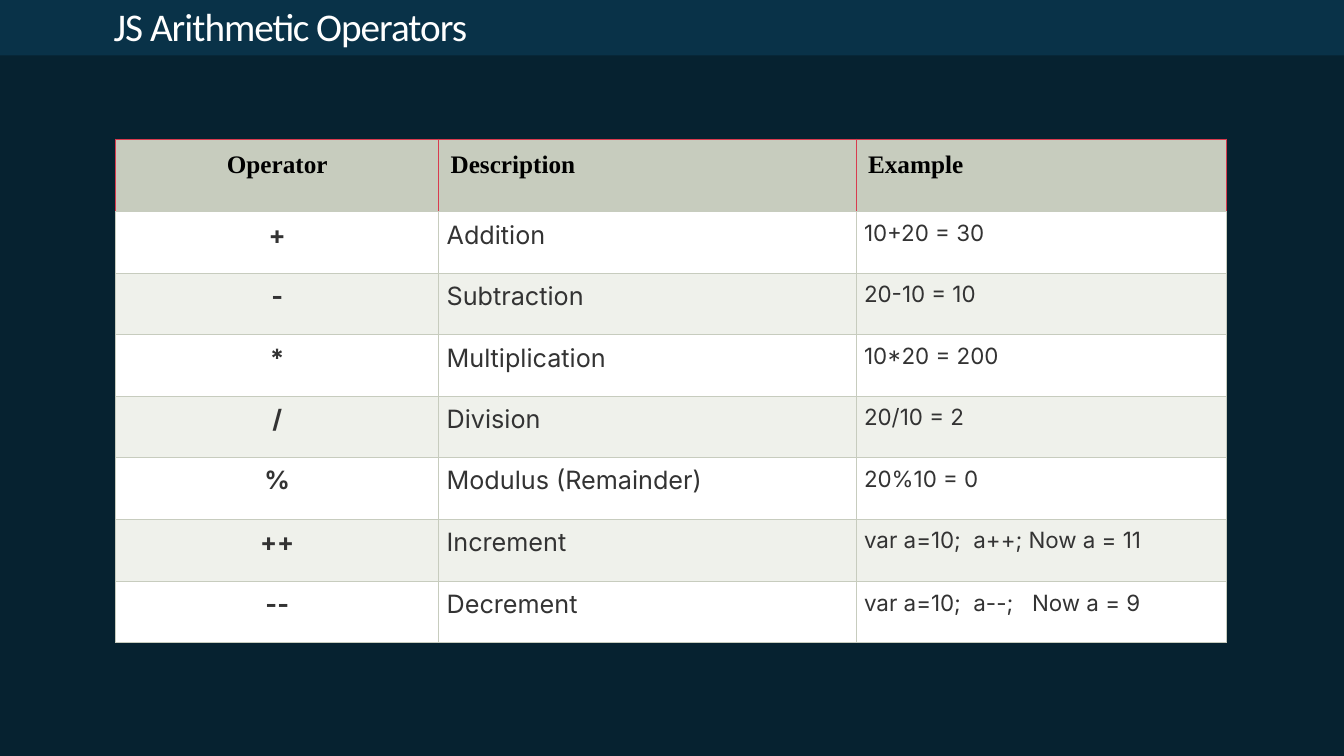
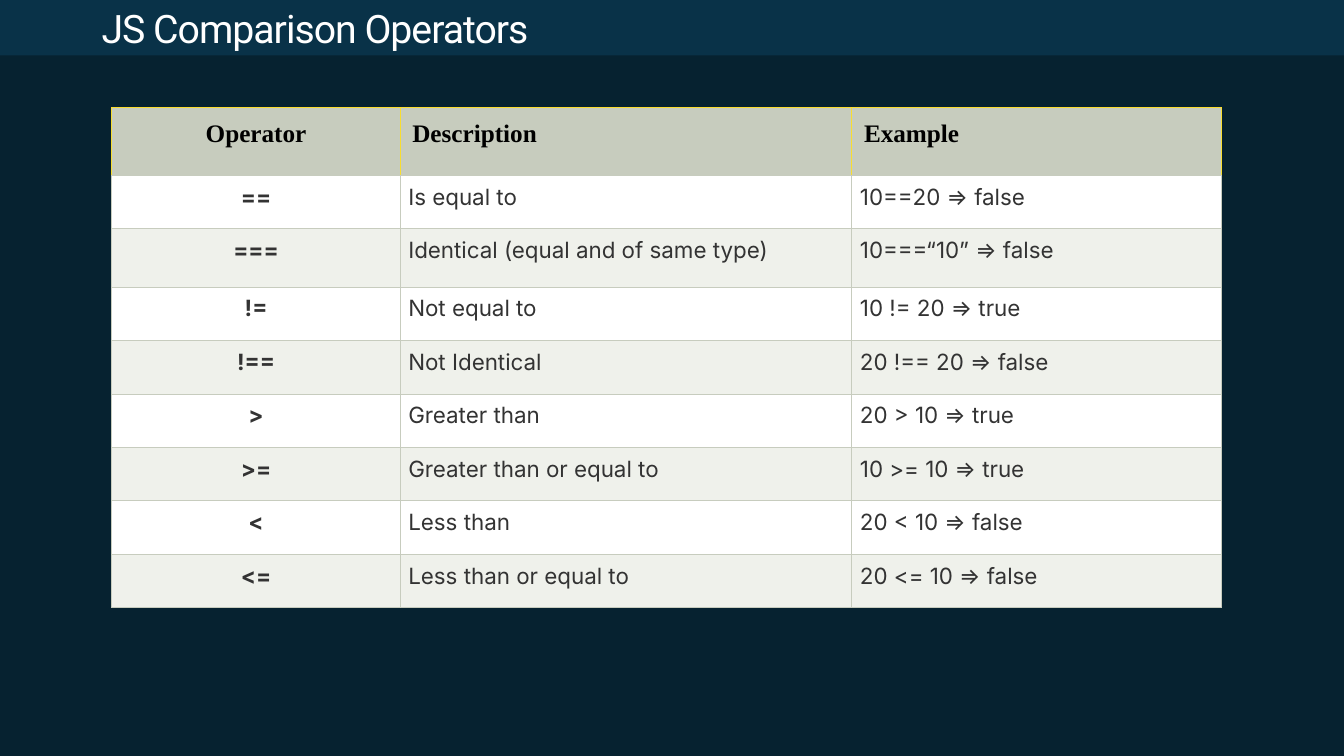
from lxml import etree
from pptx import Presentation
from pptx.dml.color import RGBColor
from pptx.enum.shapes import MSO_SHAPE
from pptx.enum.text import MSO_ANCHOR, PP_ALIGN
from pptx.oxml.ns import qn
from pptx.util import Inches, Pt

RECT = MSO_SHAPE.RECTANGLE
TOP, MIDDLE = MSO_ANCHOR.TOP, MSO_ANCHOR.MIDDLE
LEFT, CENTER, JUSTIFY = PP_ALIGN.LEFT, PP_ALIGN.CENTER, PP_ALIGN.JUSTIFY

# Shared colours
NAVY = RGBColor(0x06, 0x22, 0x30)
TEAL = RGBColor(0x09, 0x32, 0x48)
WHITE = RGBColor(0xFF, 0xFF, 0xFF)
BLACK = RGBColor(0, 0, 0)
GRAY = RGBColor(0x33, 0x33, 0x33)
SAGE = RGBColor(0xC7, 0xCC, 0xBE)
PALE = RGBColor(0xEF, 0xF1, 0xEB)
RED = RGBColor(0xD8, 0x3B, 0x4E)
YELLOW = RGBColor(0xF8, 0xDD, 0x30)

WIDTH, HEIGHT, BAND = 13.33, 7.5, 0.55
SIDES = ("L", "R", "T", "B")

# Shared text formats
TITLE = {"size": Pt(28)}
HEAD = {"name": "Times New Roman", "size": Pt(18), "bold": True}
BODY = {"name": "Inter"}

HEADS = ("Operator", "Description", "Example")
MATH = (
    ("+", "Addition", "10+20 = 30"),
    ("-", "Subtraction", "20-10 = 10"),
    ("*", "Multiplication", "10*20 = 200"),
    ("/", "Division", "20/10 = 2"),
    ("%", "Modulus (Remainder)", "20%10 = 0"),
    ("++", "Increment", "var a=10;  a++; Now a = 11"),
    ("--", "Decrement", "var a=10;  a--;   Now a = 9"),
)
COMPARE = (
    ("==", "Is equal to", "10==20 => false"),
    ("===", "Identical (equal and of same type)", "10===“10” => false"),
    ("!=", "Not equal to", "10 != 20 => true"),
    ("!==", "Not Identical", "20 !== 20 => false"),
    (">", "Greater than", "20 > 10 => true"),
    (">=", "Greater than or equal to", "10 >= 10 => true"),
    ("<", "Less than", "20 < 10 => false"),
    ("<=", "Less than or equal to", "20 <= 10 => false"),
)


def add_run(par, text, color, form):
    run = par.add_run()
    run.text = text
    run.font.color.rgb = color
    for key, value in form.items():
        setattr(run.font, key, value)
    return run


def add_base(deck):
    """Blank slide with the dark ground and the top band."""
    slide = deck.slides.add_slide(deck.slide_layouts[6])
    fill = slide.background.fill
    fill.solid()
    fill.fore_color.rgb = NAVY
    band = slide.shapes.add_shape(RECT, 0, 0, Inches(WIDTH), Inches(BAND))
    band.shadow.inherit = False
    band.fill.solid()
    band.fill.fore_color.rgb = TEAL
    band.line.fill.background()
    return slide


def add_title(slide, text, font, left, top, width):
    box = slide.shapes.add_textbox(
        Inches(left), Inches(top), Inches(width), Inches(0.53))
    frame = box.text_frame
    frame.word_wrap = True
    frame.vertical_anchor = MIDDLE
    par = frame.paragraphs[0]
    par.line_spacing = 0.9
    run = add_run(par, text, WHITE, {**TITLE, "name": font})
    run.font._element.set("spc", "-70")


def set_edges(cell, colors):
    props = cell._tc.get_or_add_tcPr()
    for side, color in zip(SIDES, colors):
        line = etree.SubElement(props, qn(f"a:ln{side}"), w=str(Pt(0.75)))
        fill = etree.SubElement(line, qn("a:solidFill"))
        etree.SubElement(fill, qn("a:srgbClr"), val=str(color))


def set_cell(cell, text, inset, align, ground, edges, color, form):
    for side in ("left", "right", "top", "bottom"):
        setattr(cell, f"margin_{side}", Inches(inset))
    cell.vertical_anchor = TOP
    set_edges(cell, edges)
    cell.fill.solid()
    cell.fill.fore_color.rgb = ground
    par = cell.text_frame.paragraphs[0]
    par.alignment = align
    add_run(par, text, color, form)


def add_grid(slide, rows, left, top, widths, heights, sizes, accent):
    table = slide.shapes.add_table(
        len(rows) + 1, len(HEADS), Inches(left), Inches(top),
        Inches(sum(widths)), Inches(sum(heights))).table
    table.horz_banding = False
    for col, width in zip(table.columns, widths):
        col.width = Inches(width)
    for row, height in zip(table.rows, heights):
        row.height = Inches(height)

    # Header row
    for c, text in enumerate(HEADS):
        set_cell(table.cell(0, c), text, 0.12, LEFT if c else CENTER,
                 SAGE, (accent, accent, accent, SAGE), BLACK, HEAD)

    # Striped body rows
    for r, row in enumerate(rows, 1):
        ground = WHITE if r % 2 else PALE
        for c, (text, size) in enumerate(zip(row, sizes)):
            form = {**BODY, "size": Pt(size), "bold": c == 0}
            set_cell(table.cell(r, c), text, 0.08, JUSTIFY if c else CENTER,
                     ground, (SAGE,) * 4, GRAY, form)


def main():
    deck = Presentation()
    deck.slide_width, deck.slide_height = Inches(WIDTH), Inches(HEIGHT)

    # Arithmetic operators
    slide = add_base(deck)
    add_title(slide, "JS Arithmetic Operators", "Calibri", 1.03, 0.02, 7.46)
    add_grid(slide, MATH, 1.15, 1.38, (3.2, 4.14, 3.67),
             [0.72] + [0.61] * 5 + [0.62, 0.61], (18, 18, 16), RED)

    # Comparison operators
    slide = add_base(deck)
    add_title(slide, "JS Comparison Operators", "Roboto", 0.91, 0.04, 5.78)
    add_grid(slide, COMPARE, 1.11, 1.07, (2.86, 4.48, 3.67),
             [0.67, 0.53, 0.58] + [0.53] * 6, (16, 16, 16), YELLOW)

    deck.save("out.pptx")


if __name__ == "__main__":
    main()
